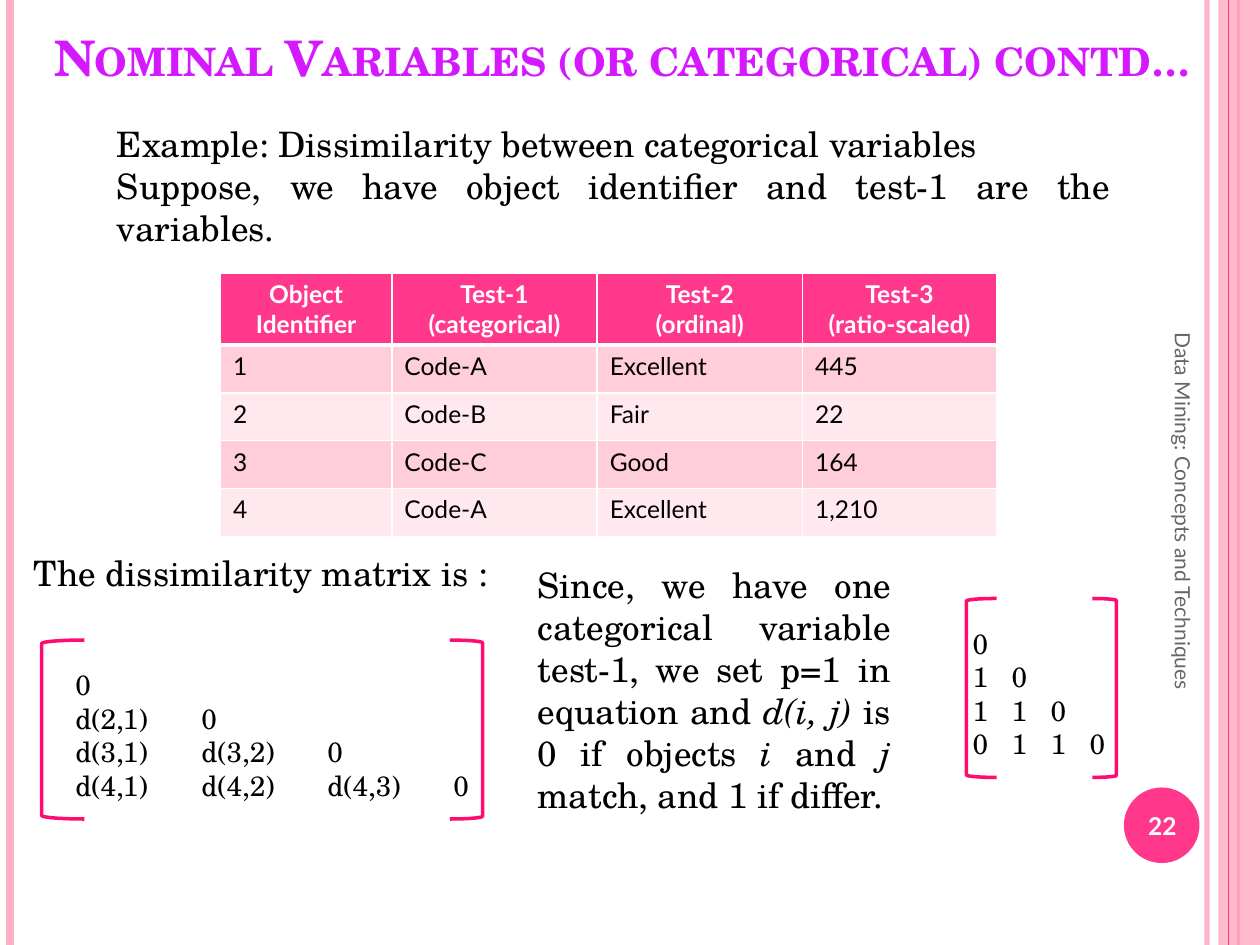
from dataclasses import dataclass
from lxml.etree import SubElement
from pptx import Presentation
from pptx.dml.color import RGBColor
from pptx.enum.shapes import MSO_CONNECTOR, MSO_SHAPE
from pptx.enum.text import MSO_ANCHOR, MSO_AUTO_SIZE, PP_ALIGN
from pptx.oxml.ns import qn
from pptx.util import Inches, Pt


@dataclass(frozen=True)
class Theme:
    serif: str = "TeX Gyre Schola"
    sans: str = "Lato"
    title: str = "D519FF"
    accent: str = "FF388C"
    bracket: str = "FF0B72"
    pale: str = "FFAFC5"
    bands: tuple = ("FFCEDA", "FFE8EE")
    white: str = "FFFFFF"
    black: str = "000000"
    grey: str = "666666"
    title_size: int = 28
    body_size: int = 20
    matrix_size: int = 16
    table_size: int = 14
    footer_size: int = 12


THEME = Theme()
TITLE = "Nominal Variables (or categorical) contd…"
FOOTER = "Data Mining: Concepts and Techniques"
PAGE_NUMBER = "22"
HEADERS = ["Object Identifier", "Test-1\n(categorical)", "Test-2\n(ordinal)", "Test-3\n(ratio-scaled)"]
ROWS = [
    ("1", "Code-A", "Excellent", "445"),
    ("2", "Code-B", "Fair", "22"),
    ("3", "Code-C", "Good", "164"),
    ("4", "Code-A", "Excellent", "1,210"),
]
COLUMN_WIDTHS = [1.36, 1.63, 1.63, 1.54]
HEADER_HEIGHT, ROW_HEIGHT = 0.55, 0.38
BODY_TEXTS = [
    ((0.83, 0.92, 8.08, 1.11), [
        [("Example: Dissimilarity between categorical variables", False)],
        [("Suppose, we have object identifier and test-1 are the variables.", False)],
    ]),
    ((0.17, 4.33, 3.92, 0.44), [[("The dissimilarity matrix is :", False)]]),
    ((4.17, 4.42, 3, 2.12), [[
        ("Since, we have one categorical variable test-1, we set p=1 in equation and ", False),
        ("d(i, j)", True), (" is 0 if objects ", False), ("i", True),
        (" and ", False), ("j", True), (" match, and 1 if differ.", False),
    ]]),
]
MATRICES = [
    {"rows": [["0"], ["d(2,1)", "0"], ["d(3,1)", "d(3,2)", "0"], ["d(4,1)", "d(4,2)", "d(4,3)", "0"]],
     "box": (0.5, 5.25, 3.58, 1.18), "tab": 1,
     "left": (0.33, 5.08, 0.34, 1.42), "right": (3.57, 5.08, 0.26, 1.42)},
    {"rows": [["0"], ["1", "0"], ["1", "1", "0"], ["0", "1", "1", "0"]],
     "box": (7.62, 4.92, 1.55, 1.18), "tab": 0.31,
     "left": (7.67, 4.75, 0.24, 1.42), "right": (8.67, 4.75, 0.19, 1.42)},
]
RULES = [
    (9.58, THEME.pale, 3, 93),
    (0.08, THEME.pale, 4.5, 100),
    (9.83, THEME.accent, 1.5, 100),
    (9.75, THEME.accent, 0.75, 100),
]


def inches(values):
    return [Inches(value) for value in values]


def style(para, size, color, face, align=PP_ALIGN.LEFT, bold=False):
    para.alignment = align
    font = para.font
    font.size, font.name, font.bold = Pt(size), face, bold
    font.color.rgb = RGBColor.from_string(color)


def set_alpha(color_format_parent, percent):
    color = next(color_format_parent.iter(qn("a:srgbClr")))
    SubElement(color, qn("a:alpha"), val=str(percent * 1000))


def add_text(shapes, frame, lines, size, color, face, align, bold=False, tab=None, anchor=MSO_ANCHOR.TOP):
    box = shapes.add_textbox(*inches(frame))
    text = box.text_frame
    text.word_wrap, text.vertical_anchor = True, anchor
    for index, spans in enumerate(lines):
        para = text.add_paragraph() if index else text.paragraphs[0]
        if tab:
            stops = SubElement(para._p.get_or_add_pPr(), qn("a:tabLst"))
            for step in range(1, len(lines)):
                SubElement(stops, qn("a:tab"), pos=str(Inches(tab * step)), algn="l")
        style(para, size, color, face, align, bold)
        for content, italic in spans:
            span = para.add_run()
            span.text = content
            if italic:
                span.font.italic = True
    return box


def add_shape(shapes, kind, frame, fill=None, line=None):
    shape = shapes.add_shape(kind, *inches(frame))
    shape.shadow.inherit = False
    if fill:
        shape.fill.solid()
        shape.fill.fore_color.rgb = RGBColor.from_string(fill)
    else:
        shape.fill.background()
    if line:
        shape.line.color.rgb = RGBColor.from_string(line)
        shape.line.width = Pt(2)
    else:
        shape.line.fill.background()
    return shape


def add_frame(shapes):
    for x, color, width, opacity in RULES:
        rule = shapes.add_connector(MSO_CONNECTOR.STRAIGHT, *inches((x, 0, x, 7.5)))
        rule.line.color.rgb = RGBColor.from_string(color)
        rule.line.width = Pt(width)
        SubElement(rule._element.spPr, qn("a:effectLst"))
        if opacity < 100:
            set_alpha(rule._element.spPr, opacity)
        if color == THEME.accent and width == 1.5:
            band = add_shape(shapes, MSO_SHAPE.RECTANGLE, (9.67, 0, 0.33, 7.5), THEME.pale)
            set_alpha(band._element.spPr, 87)
    add_shape(shapes, MSO_SHAPE.OVAL, (8.92, 6.25, 0.6, 0.6), THEME.accent)


def format_cell(cell, content, fill, color, align, header):
    cell.text = content
    for para in cell.text_frame.paragraphs:
        style(para, THEME.table_size, color, THEME.sans, align, header)
    properties = cell._tc.get_or_add_tcPr()
    for side in ("lnL", "lnR", "lnT", "lnB"):
        width = 3 if header and side == "lnB" else 1
        border = SubElement(properties, qn(f"a:{side}"), w=str(Pt(width)))
        SubElement(SubElement(border, qn("a:solidFill")), qn("a:srgbClr"), val=THEME.white)
    cell.fill.solid()
    cell.fill.fore_color.rgb = RGBColor.from_string(fill)


def add_data_table(shapes):
    heights = [HEADER_HEIGHT] + [ROW_HEIGHT] * len(ROWS)
    frame = (1.75, 2.17, sum(COLUMN_WIDTHS), sum(heights))
    table = shapes.add_table(len(heights), len(HEADERS), *inches(frame)).table
    for column, width in zip(table.columns, COLUMN_WIDTHS):
        column.width = Inches(width)
    for row, height in zip(table.rows, heights):
        row.height = Inches(height)
    for r, values in enumerate([HEADERS, *ROWS]):
        for c, content in enumerate(values):
            if r == 0:
                look = (THEME.accent, THEME.white, PP_ALIGN.CENTER, True)
            else:
                look = (THEME.bands[(r - 1) % 2], THEME.black, PP_ALIGN.LEFT, False)
            format_cell(table.cell(r, c), content, *look)


def add_matrix(shapes, matrix):
    group = shapes.add_group_shape().shapes
    add_shape(group, MSO_SHAPE.LEFT_BRACKET, matrix["left"], line=THEME.bracket)
    add_shape(group, MSO_SHAPE.RIGHT_BRACKET, matrix["right"], line=THEME.bracket)
    lines = [[("\t".join(row), False)] for row in matrix["rows"]]
    add_text(group, matrix["box"], lines, THEME.matrix_size, THEME.black, THEME.serif,
             PP_ALIGN.JUSTIFY, tab=matrix["tab"])


def add_title(title):
    title.left, title.top, title.width, title.height = inches((0.33, -0.17, 9.5, 1.25))
    text = title.text_frame
    text.text = TITLE
    text.auto_size, text.vertical_anchor = MSO_AUTO_SIZE.NONE, MSO_ANCHOR.MIDDLE
    para = text.paragraphs[0]
    style(para, THEME.title_size, THEME.title, THEME.serif, bold=True)
    para.font._element.set("cap", "small")


def main():
    deck = Presentation()
    deck.slide_width, deck.slide_height = Inches(10), Inches(7.5)
    page = deck.slides.add_slide(deck.slide_layouts[5])
    shapes = page.shapes
    add_frame(shapes)
    add_data_table(shapes)
    add_text(shapes, (8.89, 6.27, 0.67, 0.57), [[(PAGE_NUMBER, False)]], THEME.table_size,
             THEME.white, THEME.sans, PP_ALIGN.CENTER, bold=True, anchor=MSO_ANCHOR.MIDDLE)
    footer = add_text(shapes, (7.64, 4.09, 3.5, 0.4), [[(FOOTER, False)]], THEME.footer_size,
                      THEME.grey, THEME.sans, PP_ALIGN.LEFT, anchor=MSO_ANCHOR.MIDDLE)
    footer.rotation = 90
    add_title(shapes.title)
    for frame, lines in BODY_TEXTS:
        add_text(shapes, frame, lines, THEME.body_size, THEME.black, THEME.serif, PP_ALIGN.JUSTIFY)
    for matrix in MATRICES:
        add_matrix(shapes, matrix)
    deck.save("out.pptx")


if __name__ == "__main__":
    main()
